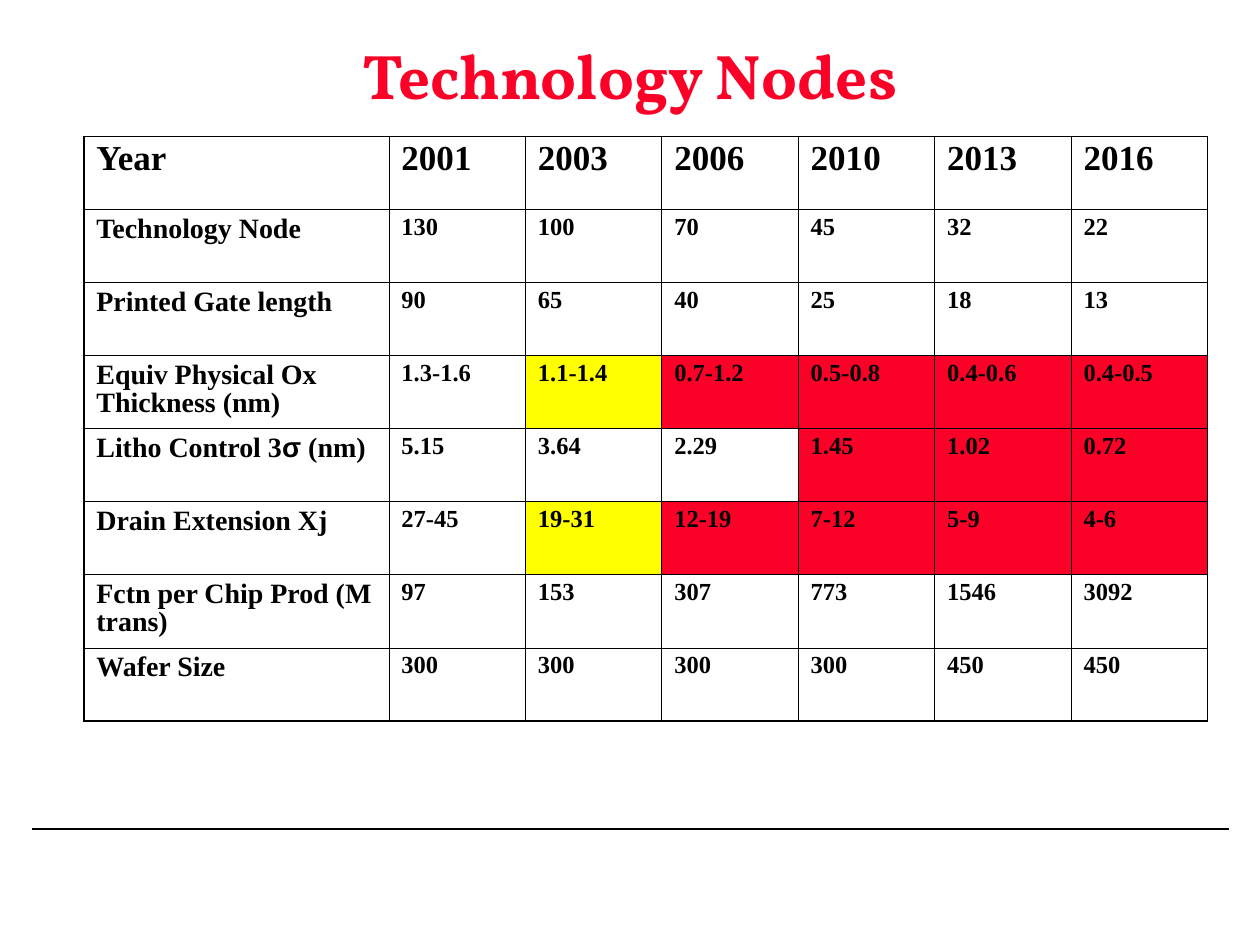
from lxml import etree
from pptx import Presentation, util as u
from pptx.dml.color import RGBColor
from pptx.enum import shapes, text
from pptx.oxml import ns

BLACK, RED, YELLOW = "000000", "FC0128", "FFFF00"
SERIF = "Times New Roman"
THIN, THICK = 0.45, 1.08

HEADER = {"size": u.Pt(20), "before": u.Pt(7.5)}
LABEL = {"size": u.Pt(16), "before": u.Pt(6)}
VALUE = {"size": u.Pt(14), "before": u.Pt(5.2)}

# Each row: label, values by year, cell colours (W white, Y yellow, R red)
NODES = [
    ("Year", "2001 2003 2006 2010 2013 2016", "WWWWWW"),
    ("Technology Node", "130 100 70 45 32 22", "WWWWWW"),
    ("Printed Gate length", "90 65 40 25 18 13", "WWWWWW"),
    ("Equiv Physical Ox Thickness (nm)",
     "1.3-1.6 1.1-1.4 0.7-1.2 0.5-0.8 0.4-0.6 0.4-0.5", "WYRRRR"),
    ("Litho Control 3σ (nm)", "5.15 3.64 2.29 1.45 1.02 0.72", "WWWRRR"),
    ("Drain Extension Xj", "27-45 19-31 12-19 7-12 5-9 4-6", "WYRRRR"),
    ("Fctn per Chip Prod (M trans)", "97 153 307 773 1546 3092", "WWWWWW"),
    ("Wafer Size", "300 300 300 300 450 450", "WWWWWW"),
]
FILLS = {"Y": YELLOW, "R": RED}


def colour(hex_value):
    return RGBColor.from_string(hex_value)


def write(paragraph, wording, size, before=0, font=SERIF, ink=BLACK, align=None):
    """Write bold wording; the Greek sigma gets a run of its own in Arial."""
    layout = {"line_spacing": 0.9, "space_before": before, "alignment": align}
    for name, value in layout.items():
        setattr(paragraph, name, value)
    head, sigma, tail = wording.partition("σ")
    for part, face in ((head, font), (sigma, "Arial"), (tail, font)):
        if part:
            run = paragraph.add_run()
            run.text = part
            for name, value in {"size": size, "name": face, "bold": True}.items():
                setattr(run.font, name, value)
            run.font.color.rgb = colour(ink)


def add_borders(cell, widths):
    """Add a solid black line to each side, given widths in points."""
    properties = cell._tc.get_or_add_tcPr()
    for side, width in widths.items():
        line = etree.SubElement(properties, ns.qn(f"a:ln{side}"), w=str(int(u.Pt(width))))
        solid = etree.SubElement(line, ns.qn("a:solidFill"))
        etree.SubElement(solid, ns.qn("a:srgbClr"), val=BLACK)


def add_title(slide, left, top, width, height):
    title = slide.shapes.add_textbox(left, top, width, height).text_frame
    title.word_wrap = True
    title.vertical_anchor = text.MSO_ANCHOR.MIDDLE
    write(title.paragraphs[0], "Technology Nodes", u.Pt(36), font="Vollkorn",
          ink=RED, align=text.PP_ALIGN.CENTER)


def add_nodes_table(slide, left, top, width, height):
    year_width = u.Cm(2.75)
    last_row, last_column = len(NODES) - 1, 6
    table = slide.shapes.add_table(last_row + 1, last_column + 1,
                                   left, top, width, height).table
    table.first_row = table.horz_banding = False
    for column in table.columns:
        column.width = year_width
    table.columns[0].width = width - last_column * year_width

    for r, (label, values, shades) in enumerate(NODES):
        table.rows[r].height = height // len(NODES)
        for c, (wording, shade) in enumerate(zip([label, *values.split()], "W" + shades)):
            cell = table.cell(r, c)
            style = HEADER if r == 0 else LABEL if c == 0 else VALUE
            write(cell.text_frame.paragraphs[0], wording, **style)
            # Outer edges are thicker than inner ones
            outer = {"L": c == 0, "R": c == last_column, "T": r == 0, "B": r == last_row}
            add_borders(cell, {side: THICK if edge else THIN for side, edge in outer.items()})
            if shade in FILLS:
                cell.fill.solid()
                cell.fill.fore_color.rgb = colour(FILLS[shade])
            else:
                cell.fill.background()


def add_footer_rule(slide, left, top, width):
    rule = slide.shapes.add_connector(shapes.MSO_CONNECTOR.STRAIGHT,
                                      left, top, left + width, top)
    rule.line.width = u.Pt(1)
    rule.line.color.rgb = colour(BLACK)
    etree.SubElement(rule._element.spPr, ns.qn("a:effectLst"))


def main():
    deck = Presentation()
    deck.slide_width, deck.slide_height = u.Cm(25.4), u.Cm(19.05)
    slide = deck.slides.add_slide(deck.slide_layouts[6])
    add_footer_rule(slide, u.Cm(0.64), u.Cm(16.71), u.Cm(24.13))
    add_title(slide, u.Cm(1.9), u.Cm(0), u.Cm(21.6), u.Cm(3.18))
    add_nodes_table(slide, u.Cm(1.69), u.Cm(2.75), u.Cm(22.65), u.Cm(11.79))
    deck.save("out.pptx")


if __name__ == "__main__":
    main()
